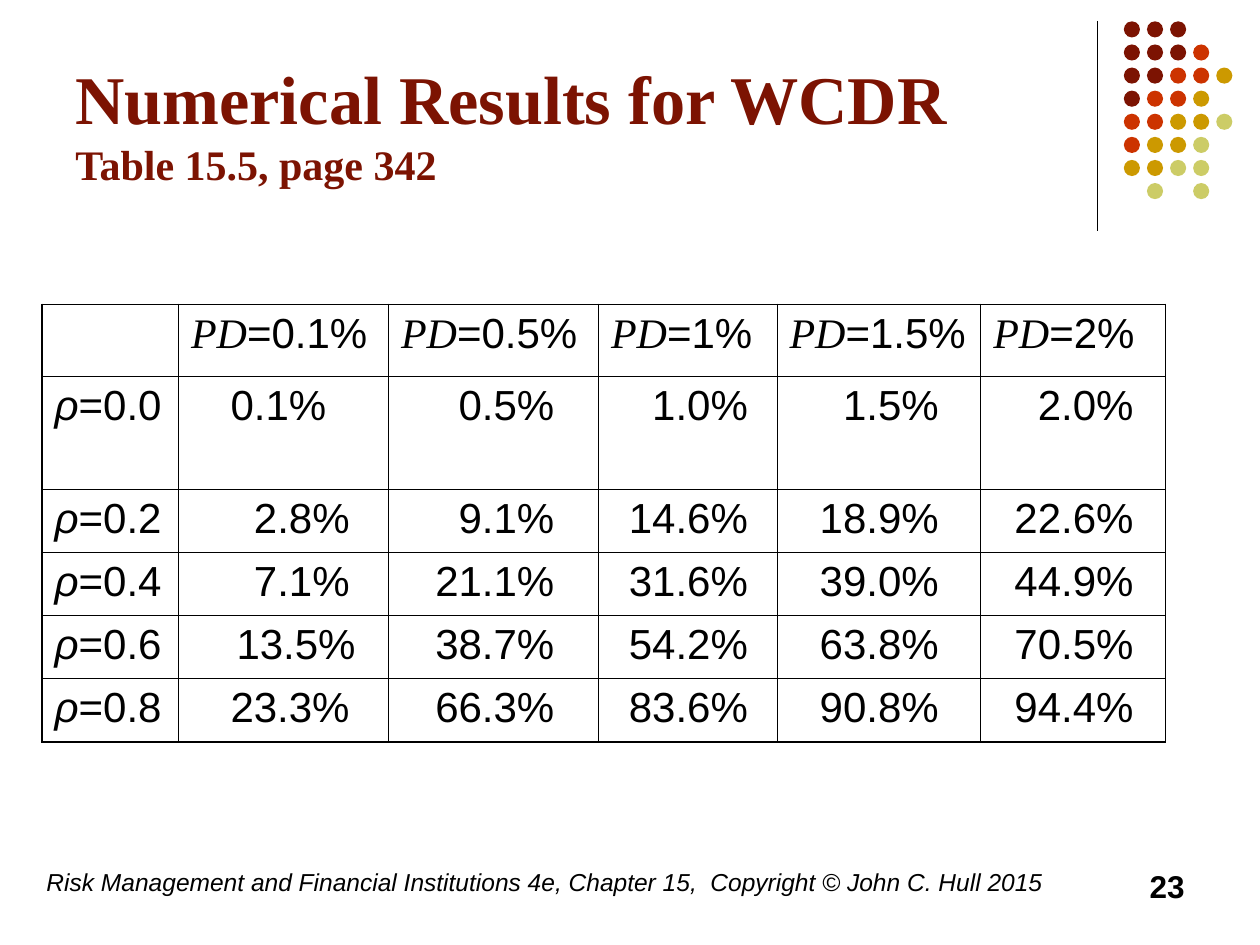
"""Build the slide with the numerical results for WCDR."""
from dataclasses import dataclass

from lxml.etree import SubElement
from pptx import Presentation
from pptx.dml.color import RGBColor as RGB
from pptx.enum.shapes import MSO_CONNECTOR as CONN, MSO_SHAPE as SHAPE
from pptx.enum.text import MSO_ANCHOR as ANCHOR, PP_ALIGN as ALIGN
from pptx.oxml.ns import qn
from pptx.util import Pt


@dataclass(frozen=True)
class Theme:
    black: str = "000000"
    maroon: str = "7C1302"
    red: str = "CC3300"
    gold: str = "CC9900"
    olive: str = "CCCC66"
    serif: str = "Times New Roman"
    sans: str = "Arial"
    title: float = 39
    body: float = 24
    number: float = 18
    footer: float = 14
    outer: float = 1.08
    inner: float = 0.45
    rule: float = 0.75


class Deck:
    def __init__(self, slide, theme):
        self.slide = slide
        self.theme = theme

    def font(self, r, size, name=None, color=None, bold=False, italic=False):
        f = r.font
        f.size, f.bold, f.italic = Pt(size), bold, italic
        f.name = name or self.theme.sans
        f.color.rgb = RGB.from_string(color or self.theme.black)

    def text(self, x, y, w, h, text, sizes, align=ALIGN.LEFT, anchor=ANCHOR.TOP, **style):
        tf = self.slide.shapes.add_textbox(Pt(x), Pt(y), Pt(w), Pt(h)).text_frame
        tf.word_wrap = True
        tf.vertical_anchor = anchor
        tf.text = text
        p = tf.paragraphs[0]
        p.alignment = align
        for r, size in zip(p.runs, sizes):
            self.font(r, size, **style)

    def line(self, x1, y1, x2, y2):
        sp = self.slide.shapes.add_connector(CONN.STRAIGHT, Pt(x1), Pt(y1), Pt(x2), Pt(y2))
        sp.line.color.rgb = RGB.from_string(self.theme.black)
        sp.line.width = Pt(self.theme.rule)
        SubElement(sp._element.spPr, qn("a:effectLst"))

    def dots(self, x, y, pitch, size, rows, colors):
        group = self.slide.shapes.add_group_shape()
        for i, row in enumerate(rows):
            for j, key in enumerate(row):
                if key in colors:
                    sp = group.shapes.add_shape(
                        SHAPE.OVAL, Pt(x + j * pitch), Pt(y + i * pitch), Pt(size), Pt(size))
                    sp.shadow.inherit = False
                    sp.fill.solid()
                    sp.fill.fore_color.rgb = RGB.from_string(colors[key])
                    sp.line.fill.background()

    def border(self, cell, side, width):
        ln = SubElement(cell._tc.get_or_add_tcPr(), qn(f"a:ln{side}"), w=str(Pt(width)))
        fill = SubElement(ln, qn("a:solidFill"))
        SubElement(fill, qn("a:srgbClr"), val=self.theme.black)

    def cell(self, cell, parts, inset=None):
        p = cell.text_frame.paragraphs[0]
        if inset:
            p.alignment = ALIGN.RIGHT
            cell.margin_right = Pt(inset)
        for text, name, italic in parts:
            r = p.add_run()
            r.text = text
            self.font(r, self.theme.body, name, italic=italic)

    def table(self, x, y, widths, heights, rows, insets):
        t = self.theme
        n, m = len(heights), len(widths)
        table = self.slide.shapes.add_table(
            n, m, Pt(x), Pt(y), Pt(sum(widths)), Pt(sum(heights))).table
        table.first_row = table.horz_banding = False
        for column, width in zip(table.columns, widths):
            column.width = Pt(width)
        for row, height in zip(table.rows, heights):
            row.height = Pt(height)
        for i, row in enumerate(rows):
            for j, parts in enumerate(row):
                cell = table.cell(i, j)
                edges = {"L": j == 0, "R": j == m - 1, "T": i == 0, "B": i == n - 1}
                for side, is_outer in edges.items():
                    self.border(cell, side, t.outer if is_outer else t.inner)
                cell.fill.background()
                self.cell(cell, parts, insets.get((i, j), insets.get(j)) if i else None)


def main():
    t = Theme()
    prs = Presentation()
    prs.slide_width, prs.slide_height = Pt(720), Pt(540)
    deck = Deck(prs.slides.add_slide(prs.slide_layouts[6]), t)

    deck.line(627, 12, 627, 132)
    deck.dots(642.2, 12.2, 13.2, 9.2,
              ["MMM", "MMMR", "MMRRG", "MRRG", "RRGGO", "RGGO", "GGOO", " O O"],
              {"M": t.maroon, "R": t.red, "G": t.gold, "O": t.olive})
    deck.text(36, 9.5, 594, 102, "Numerical Results for WCDR\vTable 15.5, page 342",
              [t.title, t.body], anchor=ANCHOR.BOTTOM,
              name=t.serif, color=t.maroon, bold=True)
    deck.text(19.5, 492, 595.5, 36,
              "Risk Management and Financial Institutions 4e, Chapter 15,  "
              "Copyright © John C. Hull 2015", [t.footer], italic=True)

    results = {
        "0.0": ["0.1%", "0.5%", "1.0%", "1.5%", "2.0%"],
        "0.2": ["2.8%", "9.1%", "14.6%", "18.9%", "22.6%"],
        "0.4": ["7.1%", "21.1%", "31.6%", "39.0%", "44.9%"],
        "0.6": ["13.5%", "38.7%", "54.2%", "63.8%", "70.5%"],
        "0.8": ["23.3%", "66.3%", "83.6%", "90.8%", "94.4%"],
    }
    rows = [[[]] + [[("PD", t.serif, True), (f"={pd}", t.sans, False)]
                    for pd in ("0.1%", "0.5%", "1%", "1.5%", "2%")]]
    for rho, values in results.items():
        rows.append([[("ρ", t.sans, True), (f"={rho}", t.sans, False)]]
                    + [[(value, t.sans, False)] for value in values])
    insets = {1: 22.2, 2: 25.2, 3: 16.6, 4: 24, 5: 18.2, (1, 1): 35.5, (4, 1): 18.8}
    deck.table(24, 174, [78, 120, 120, 102, 116.5, 105.5],
               [41, 64.6] + [36.1] * 4, rows, insets)
    deck.text(516, 492, 168, 36, "23", [t.number], ALIGN.RIGHT, bold=True)
    prs.save("out.pptx")


if __name__ == "__main__":
    main()
